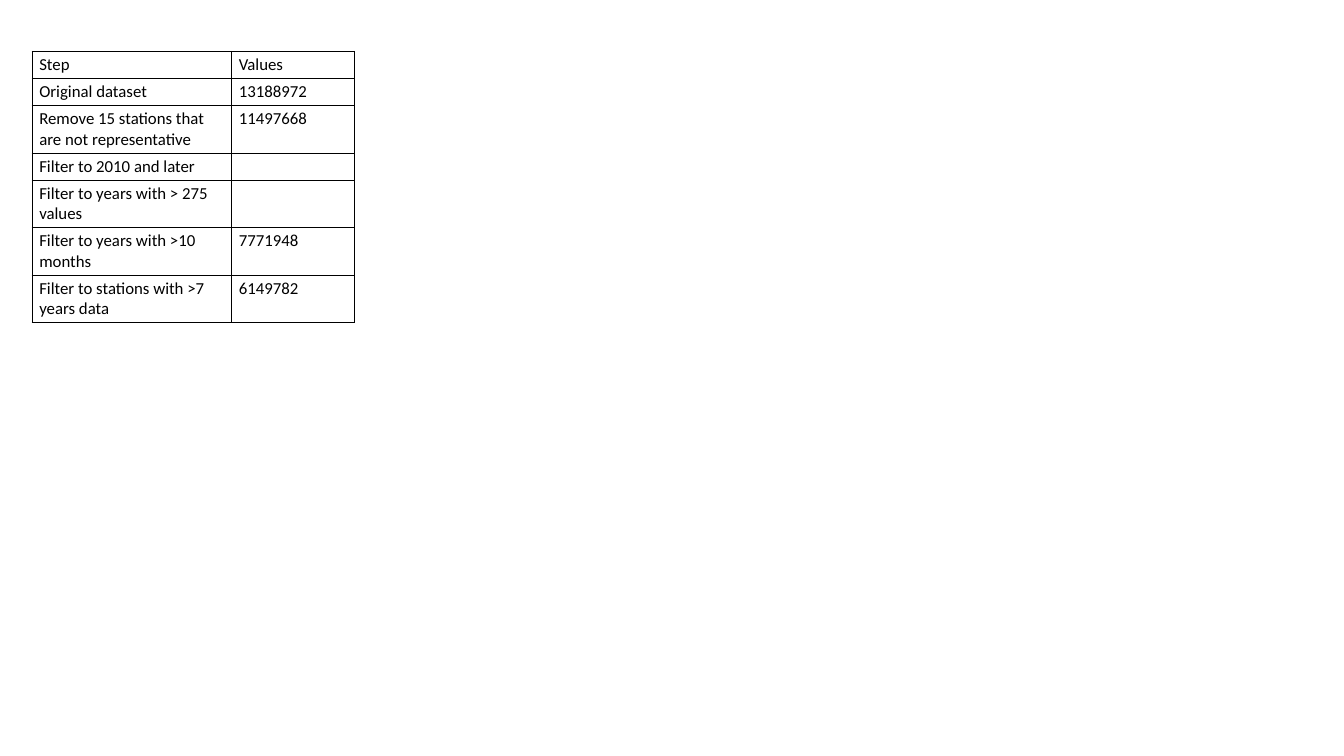
from lxml import etree
from pptx import Presentation
from pptx import util as u
from pptx.dml.color import RGBColor
from pptx.oxml import ns

BLACK = RGBColor(0x00, 0x00, 0x00)
STEPS = [
    ("Step", "Values"),
    ("Original dataset", "13188972"),
    ("Remove 15 stations that are not representative", "11497668"),
    ("Filter to 2010 and later", ""),
    ("Filter to years with > 275 values", ""),
    ("Filter to years with >10 months", "7771948"),
    ("Filter to stations with >7 years data", "6149782"),
]
ONE_LINE, TWO_LINES = 3.6, 6.27
WRAP_AT = 25


class Deck:
    """Holds the style and current slide; lengths are percentages of the slide."""

    font, size, color, border = "Calibri", u.Pt(12), BLACK, u.Pt(1)

    def __init__(self, width, height):
        self.prs = Presentation()
        self.prs.slide_width, self.prs.slide_height = u.Inches(width), u.Inches(height)
        self.s = self.prs.slides.add_slide(self.prs.slide_layouts[6])

    def x(self, share):
        return int(self.prs.slide_width * share / 100)

    def y(self, share):
        return int(self.prs.slide_height * share / 100)

    def table(self, left, top, widths, heights, rows):
        frame = self.s.shapes.add_table(
            len(rows), len(widths), self.x(left), self.y(top),
            self.x(sum(widths)), self.y(sum(heights)))
        table = frame.table
        table.first_row = table.horz_banding = False
        for column, width in zip(table.columns, widths):
            column.width = self.x(width)
        for row, height, values in zip(table.rows, heights, rows):
            row.height = self.y(height)
            for cell, value in zip(row.cells, values):
                self.cell(cell, value)

    def cell(self, cell, value):
        cell.margin_left = cell.margin_right = u.Inches(0.07)
        cell.margin_top = cell.margin_bottom = u.Inches(0.03)
        self.borders(cell)
        cell.fill.background()
        p = cell.text_frame.paragraphs[0]
        p.text = value
        for r in p.runs:
            r.font.name, r.font.size, r.font.bold = self.font, self.size, False
            r.font.color.rgb = self.color
        if not value:
            etree.SubElement(p._p, ns.qn("a:endParaRPr"), sz=str(int(self.size.pt * 100)))

    def borders(self, cell):
        props = cell._tc.get_or_add_tcPr()
        for side in "LRTB":
            line = etree.SubElement(props, ns.qn(f"a:ln{side}"), w=str(self.border))
            fill = etree.SubElement(line, ns.qn("a:solidFill"))
            etree.SubElement(fill, ns.qn("a:srgbClr"), val=str(self.color))


def main():
    deck = Deck(13.33, 7.5)
    heights = [TWO_LINES if len(step) > WRAP_AT else ONE_LINE for step, _ in STEPS]
    deck.table(2.4, 6.8, [14.85, 9.15], heights, STEPS)
    deck.prs.save("out.pptx")


if __name__ == "__main__":
    main()
